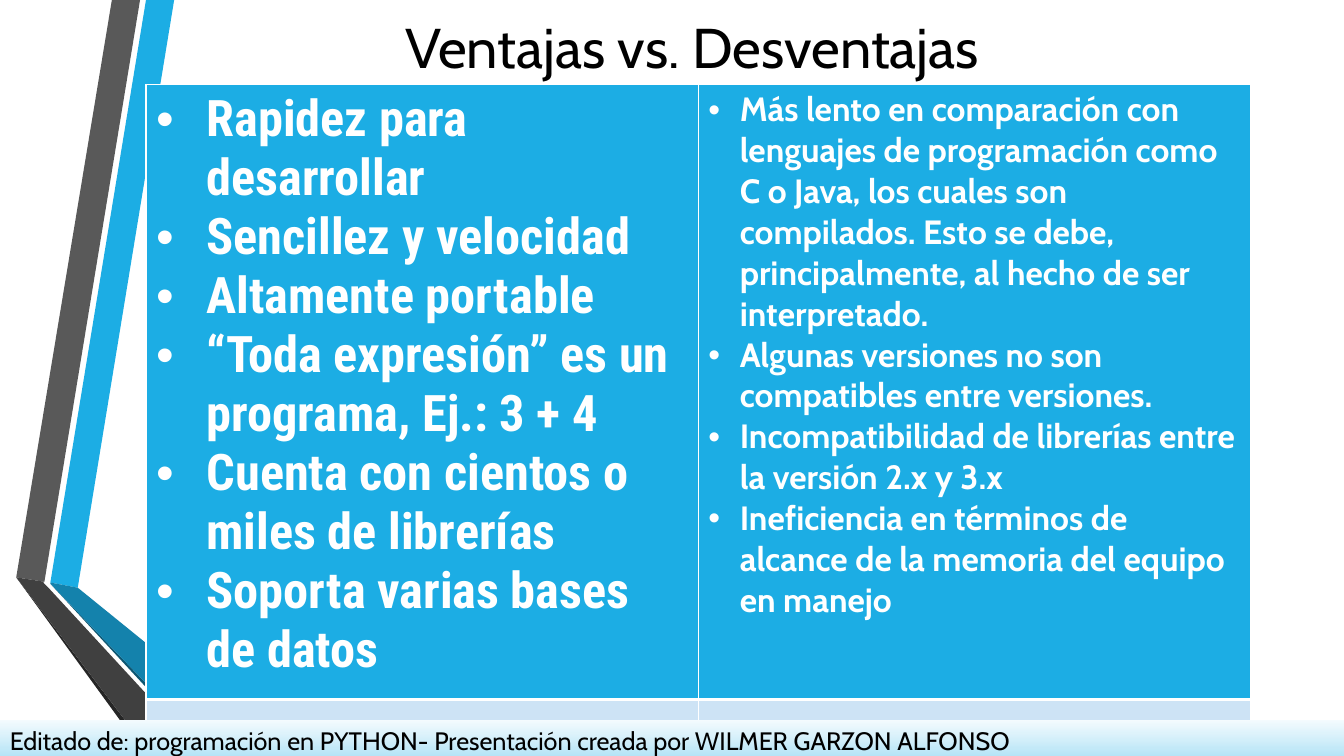
from dataclasses import dataclass

from lxml.etree import SubElement
from pptx import Presentation
from pptx.dml.color import RGBColor
from pptx.enum.shapes import MSO_SHAPE
from pptx.enum.text import MSO_ANCHOR, PP_ALIGN
from pptx.oxml.ns import qn
from pptx.util import Cm, Pt


@dataclass(frozen=True)
class Theme:
    blue: str = "1CADE4"
    blue_dark: str = "1482AC"
    blue_deep: str = "0E5772"
    gray: str = "595959"
    gray_dark: str = "404040"
    gray_deep: str = "262626"
    pale: str = "CDE3F5"
    white: str = "FFFFFF"
    black: str = "000000"
    footer: tuple = ((0, "F4FBFE"), (74, "99DAF3"), (83, "99DAF3"), (100, "BBE6F7"))
    body_font: str = "Cabin"
    condensed_font: str = "Roboto Condensed"
    title_size: int = 40
    advantage_size: int = 36
    drawback_size: int = 24
    footer_size: int = 18


theme = Theme()


def write_text(paragraph, text, size, color, font=theme.body_font, bold=False,
               align=PP_ALIGN.LEFT, indent=None):
    paragraph.alignment = align
    run = paragraph.add_run()
    run.text = text
    run.font.name = font
    run.font.size = Pt(size)
    run.font.bold = bold
    run.font.color.rgb = RGBColor.from_string(color)
    if indent:
        properties = paragraph._p.get_or_add_pPr()
        properties.set("marL", str(Cm(indent)))
        properties.set("indent", str(-Cm(indent)))
        SubElement(properties, qn("a:buFont"), typeface="Arial")
        SubElement(properties, qn("a:buChar"), char="•")


presentation = Presentation()
presentation.slide_width = Cm(33.87)
presentation.slide_height = Cm(19.05)
slide = presentation.slides.add_slide(presentation.slide_layouts[6])

ribbons = [
    (theme.blue, [(1.27, 14.68), (1.96, 14.81), (4.39, 0), (3.68, 0)]),
    (theme.gray, [(3.53, 0), (2.82, 0), (0.41, 14.55), (1.12, 14.66)]),
    (theme.gray_deep, [(0.41, 14.55), (3.68, 19.05), (3.84, 19.05)]),
    (theme.blue_deep, [(1.27, 14.71), (5.28, 19.05), (5.44, 19.05)]),
    (theme.blue_dark, [(1.27, 14.71), (5.44, 19.05), (7.19, 19.05), (1.96, 14.81),
                       (1.27, 14.68)]),
    (theme.gray_dark, [(5.13, 19.05), (1.22, 14.81), (1.09, 14.68), (1.12, 14.66),
                       (0.41, 14.55), (3.84, 19.05)]),
]
for color, outline in ribbons:
    points = [(Cm(x), Cm(y)) for x, y in outline]
    builder = slide.shapes.build_freeform(*points[0])
    builder.add_line_segments(points[1:], close=True)
    ribbon = builder.convert_to_shape()
    ribbon.shadow.inherit = False
    ribbon.fill.solid()
    ribbon.fill.fore_color.rgb = RGBColor.from_string(color)
    ribbon.line.fill.background()

title = slide.shapes.add_textbox(Cm(3.68), Cm(-1.27), Cm(27.84), Cm(4.88))
title.text_frame.word_wrap = True
title.text_frame.vertical_anchor = MSO_ANCHOR.MIDDLE
write_text(title.text_frame.paragraphs[0], "Ventajas vs. Desventajas ",
           theme.title_size, theme.black, align=PP_ALIGN.CENTER)

advantages = [
    "Rapidez para desarrollar",
    "Sencillez y velocidad",
    "Altamente portable",
    "“Toda expresión” es un programa, Ej.: 3 + 4",
    "Cuenta con cientos o miles de librerías",
    "Soporta varias bases de datos",
]
drawbacks = [
    "Más lento en comparación con lenguajes de programación como C o Java, los cuales "
    "son compilados. Esto se debe, principalmente, al hecho de ser interpretado.",
    "Algunas versiones no son compatibles entre versiones.",
    "Incompatibilidad de librerías entre la versión 2.x y 3.x",
    "Ineficiencia en términos de alcance de la memoria del equipo en manejo",
]
columns = [
    (advantages, theme.advantage_size, theme.condensed_font, 1.27),
    (drawbacks, theme.drawback_size, theme.body_font, 0.79),
]

table = slide.shapes.add_table(2, 2, Cm(3.68), Cm(2.13), Cm(27.84), Cm(13.92)).table
table.first_row = False
table.horz_banding = False
for row, height in zip(table.rows, (12.75, 1.17)):
    row.height = Cm(height)

row_styles = [
    (theme.blue, {"lnL": 1, "lnR": 1, "lnT": 1, "lnB": 3}),
    (theme.pale, {"lnL": 1, "lnR": 1, "lnT": 3, "lnB": 1}),
]
for row, (color, borders) in zip(table.rows, row_styles):
    for cell in row.cells:
        properties = cell._tc.get_or_add_tcPr()
        for side, width in borders.items():
            border = SubElement(properties, qn(f"a:{side}"), w=str(Pt(width)))
            border_fill = SubElement(border, qn("a:solidFill"))
            SubElement(border_fill, qn("a:srgbClr"), val=theme.white)
        cell.fill.solid()
        cell.fill.fore_color.rgb = RGBColor.from_string(color)

for cell, (items, size, font, indent) in zip(table.rows[0].cells, columns):
    frame = cell.text_frame
    for index, item in enumerate(items):
        paragraph = frame.add_paragraph() if index else frame.paragraphs[0]
        write_text(paragraph, item, size, theme.white, font=font, bold=True, indent=indent)

footer = slide.shapes.add_shape(MSO_SHAPE.RECTANGLE, 0, Cm(18.14), Cm(33.87), Cm(1.8))
footer.shadow.inherit = False
footer.line.fill.background()
footer.fill.gradient()
footer.fill.gradient_angle = 270
stops = footer._element.spPr.find(".//" + qn("a:gsLst"))
for stop in list(stops):
    stops.remove(stop)
for position, color in theme.footer:
    stop = SubElement(stops, qn("a:gs"), pos=str(position * 1000))
    SubElement(stop, qn("a:srgbClr"), val=color)
footer.text_frame.word_wrap = True
footer.text_frame.vertical_anchor = MSO_ANCHOR.TOP
write_text(footer.text_frame.paragraphs[0],
           "Editado de: programación en PYTHON- Presentación creada por WILMER GARZON ALFONSO",
           theme.footer_size, theme.black)

presentation.save("out.pptx")
